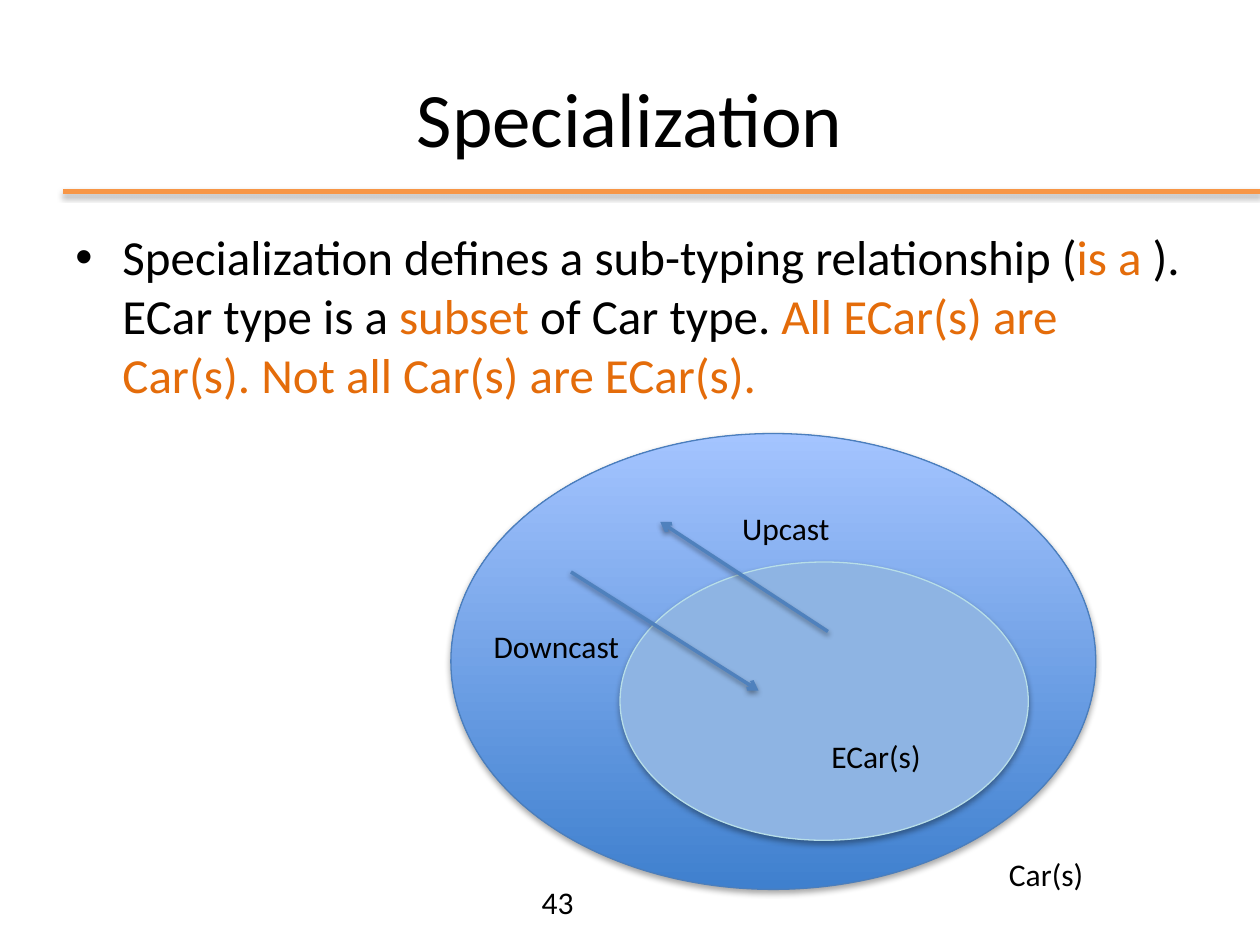
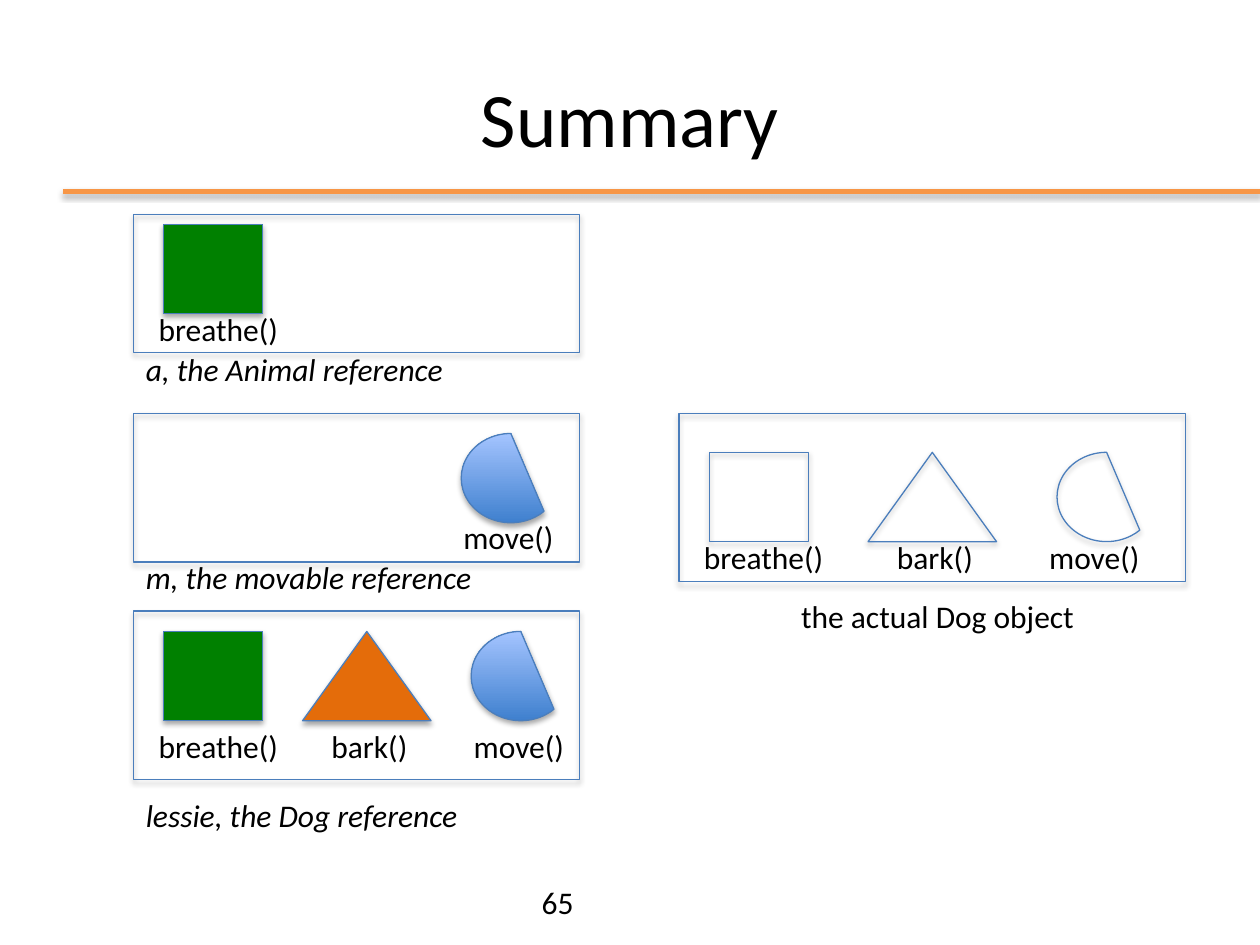
from dataclasses import dataclass

from pptx import Presentation
from pptx.dml.color import RGBColor
from pptx.enum.shapes import MSO_CONNECTOR as Link, MSO_SHAPE as Geometry
from pptx.enum.text import MSO_ANCHOR as Anchor, MSO_AUTO_SIZE as AutoSize, PP_ALIGN as Align
from pptx.oxml.xmlchemy import OxmlElement
from pptx.slide import Slide
from pptx.util import Cm, Pt

FONT = "Calibri"
BLACK = "000000"
ORANGE = "E46C0A"
RULE_ORANGE = "F79646"
GREEN = "008000"
OUTLINE = "4B7EBC"
ARROW_BLUE = "4F81BD"
INNER_BLUE = "8EB4E3"
INNER_OUTLINE = "B7DEE8"
BLUE_GRADIENT = ("3F80CE", "A4C4FF")

LABEL_HEIGHT = 1.02
ICON_HEIGHT = 1.8
REFERENCE_LEFT = 2.69
REFERENCE_WIDTH = 8.99

Fill = str | tuple[str, str] | None


@dataclass(frozen=True)
class Box:
    left: float
    top: float
    width: float
    height: float = LABEL_HEIGHT

    def lengths(self) -> tuple[Cm, Cm, Cm, Cm]:
        return Cm(self.left), Cm(self.top), Cm(self.width), Cm(self.height)


@dataclass(frozen=True)
class Span:
    text: str
    color: str = BLACK
    size: int = 18
    italic: bool = False


@dataclass(frozen=True)
class Arrow:
    start: tuple[float, float]
    end: tuple[float, float]


@dataclass(frozen=True)
class Method:
    text: str
    geometry: Geometry
    icon_width: float
    label_width: float
    fill: Fill


@dataclass(frozen=True)
class Member:
    method: Method
    icon_left: float
    label_left: float


@dataclass(frozen=True)
class Panel:
    frame: Box
    members: tuple[Member, ...]
    icon_top: float
    label_top: float
    caption: str
    caption_box: Box
    actual: bool = False


BREATHE = Method("breathe()", Geometry.RECTANGLE, 2.0, 2.97, GREEN)
BARK = Method("bark()", Geometry.ISOSCELES_TRIANGLE, 2.59, 2.06, ORANGE)
MOVE = Method("move()", Geometry.CHORD, 2.0, 2.36, BLUE_GRADIENT)

DEFINITION = (
    Span("Specialization defines a sub-typing relationship (", size=28),
    Span("is a ", ORANGE, 28),
    Span("). ECar type is a ", size=28),
    Span("subset ", ORANGE, 28),
    Span("of Car type. ", size=28),
    Span("All ECar(s) are Car(s). Not all Car(s) are ECar(s).", ORANGE, 28),
)

SET_LABELS = {
    "Car(s)": Box(20.09, 17.12, 2.03),
    "ECar(s)": Box(16.51, 14.73, 2.34),
    "Upcast": Box(14.71, 10.13, 2.31),
    "Downcast": Box(9.7, 12.52, 3.07),
}

CASTS = (
    Arrow((11.51, 11.53), (15.29, 13.92)),
    Arrow((16.69, 12.73), (13.31, 10.52)),
)

PANELS = (
    Panel(
        Box(13.69, 8.33, 10.21, 3.4),
        (Member(BREATHE, 14.3, 13.94), Member(BARK, 17.5, 17.83), Member(MOVE, 21.31, 20.9)),
        9.12, 10.72, "the actual Dog object", Box(15.9, 11.91, 6.07), actual=True,
    ),
    Panel(
        Box(REFERENCE_LEFT, 4.32, REFERENCE_WIDTH, 2.79),
        (Member(BREATHE, 3.3, 2.95),),
        4.52, 6.12, "a, the Animal reference", Box(REFERENCE_LEFT, 6.93, 6.73),
    ),
    Panel(
        Box(REFERENCE_LEFT, 8.33, REFERENCE_WIDTH, 3.0),
        (Member(MOVE, 9.3, 9.09),),
        8.74, 10.31, "m, the movable reference", Box(REFERENCE_LEFT, 11.13, 7.26),
    ),
    Panel(
        Box(REFERENCE_LEFT, 12.32, REFERENCE_WIDTH, 3.4),
        (Member(BREATHE, 3.3, 2.95), Member(BARK, 6.1, 6.43), Member(MOVE, 9.5, 9.3)),
        12.73, 14.53, "lessie, the Dog reference", Box(REFERENCE_LEFT, 15.93, 7.09),
    ),
)


def rgb(color: str) -> RGBColor:
    return RGBColor.from_string(color)


def add_element(parent, tag: str, **attributes: str):
    element = OxmlElement(tag)
    for key, setting in attributes.items():
        element.set(key, setting)
    parent.append(element)
    return element


def add_shadow(properties, opacity: int = 35, distance: int = 23000) -> None:
    effects = add_element(properties, "a:effectLst")
    shadow = add_element(effects, "a:outerShdw", blurRad="40000", dist=str(distance),
                         dir="5400000", rotWithShape="0")
    shade = add_element(shadow, "a:srgbClr", val=BLACK)
    add_element(shade, "a:alpha", val=str(opacity * 1000))


def add_text(slide: Slide, box: Box, *spans: Span, wrap: bool = True):
    frame = slide.shapes.add_textbox(*box.lengths()).text_frame
    frame.word_wrap = wrap
    frame.auto_size = AutoSize.NONE if wrap else AutoSize.SHAPE_TO_FIT_TEXT
    for span in spans:
        run = frame.paragraphs[0].add_run()
        run.text = span.text
        run.font.name = FONT
        run.font.size = Pt(span.size)
        run.font.italic = span.italic
        run.font.color.rgb = rgb(span.color)
    return frame


def add_outlined(slide: Slide, geometry: Geometry, box: Box, fill: Fill = None,
                 outline: str = OUTLINE) -> None:
    shape = slide.shapes.add_shape(geometry, *box.lengths())
    if fill is None:
        shape.fill.background()
    elif isinstance(fill, tuple):
        shape.fill.gradient()
        shape.fill.gradient_angle = 90
        for stop, color in zip(shape.fill.gradient_stops, fill):
            stop.color.rgb = rgb(color)
    else:
        shape.fill.solid()
        shape.fill.fore_color.rgb = rgb(fill)
    shape.line.color.rgb = rgb(outline)
    shape.line.width = Pt(0.75)
    add_shadow(shape._element.spPr)


def add_line(slide: Slide, path: Arrow, color: str, width: float):
    line = slide.shapes.add_connector(Link.STRAIGHT, *map(Cm, path.start + path.end))
    line.line.color.rgb = rgb(color)
    line.line.width = Pt(width)
    return line


def add_cast(slide: Slide, cast: Arrow) -> None:
    arrow = add_line(slide, cast, ARROW_BLUE, 2)
    add_element(arrow.line._get_or_add_ln(), "a:tailEnd", type="arrow")
    add_shadow(arrow._element.spPr, opacity=38, distance=20000)


def add_definition(slide: Slide) -> None:
    frame = add_text(slide, Box(1.27, 4.45, 22.86, 12.57), *DEFINITION)
    indent = Cm(0.95)
    properties = frame.paragraphs[0]._p.get_or_add_pPr()
    properties.set("marL", str(indent))
    properties.set("indent", str(-indent))
    add_element(properties, "a:buFont", typeface="Arial")
    add_element(properties, "a:buChar", char="•")


def add_panel(slide: Slide, panel: Panel) -> None:
    for member in panel.members:
        method = member.method
        icon = Box(member.icon_left, panel.icon_top, method.icon_width, ICON_HEIGHT)
        add_outlined(slide, method.geometry, icon, None if panel.actual else method.fill)
        label = Box(member.label_left, panel.label_top, method.label_width)
        add_text(slide, label, Span(method.text), wrap=False)
    add_outlined(slide, Geometry.RECTANGLE, panel.frame)
    add_text(slide, panel.caption_box, Span(panel.caption, italic=not panel.actual), wrap=False)


def start_slide(deck, title: str, number: int) -> Slide:
    slide = deck.slides.add_slide(deck.slide_layouts[6])
    rule = add_line(slide, Arrow((1.27, 3.86), (25.4, 3.86)), RULE_ORANGE, 3)
    add_shadow(rule._element.spPr)
    heading = add_text(slide, Box(1.27, 0.76, 22.86, 3.18), Span(title, size=44))
    heading.vertical_anchor = Anchor.MIDDLE
    heading.paragraphs[0].alignment = Align.CENTER
    add_text(slide, Box(10.67, 17.68, 13.46), Span(str(number)))
    return slide


def build_specialization(deck) -> None:
    slide = start_slide(deck, "Specialization", 43)
    add_definition(slide)
    add_outlined(slide, Geometry.OVAL, Box(9.09, 8.74, 13.0, 9.19), BLUE_GRADIENT)
    add_outlined(slide, Geometry.OVAL, Box(12.5, 11.33, 8.23, 5.61), INNER_BLUE, INNER_OUTLINE)
    for cast in CASTS:
        add_cast(slide, cast)
    for text, box in SET_LABELS.items():
        add_text(slide, box, Span(text), wrap=False)


def build_summary(deck) -> None:
    slide = start_slide(deck, "Summary", 65)
    for panel in PANELS:
        add_panel(slide, panel)


def main() -> None:
    deck = Presentation()
    deck.slide_width = Cm(25.4)
    deck.slide_height = Cm(19.05)
    build_specialization(deck)
    build_summary(deck)
    deck.save("out.pptx")


if __name__ == "__main__":
    main()
